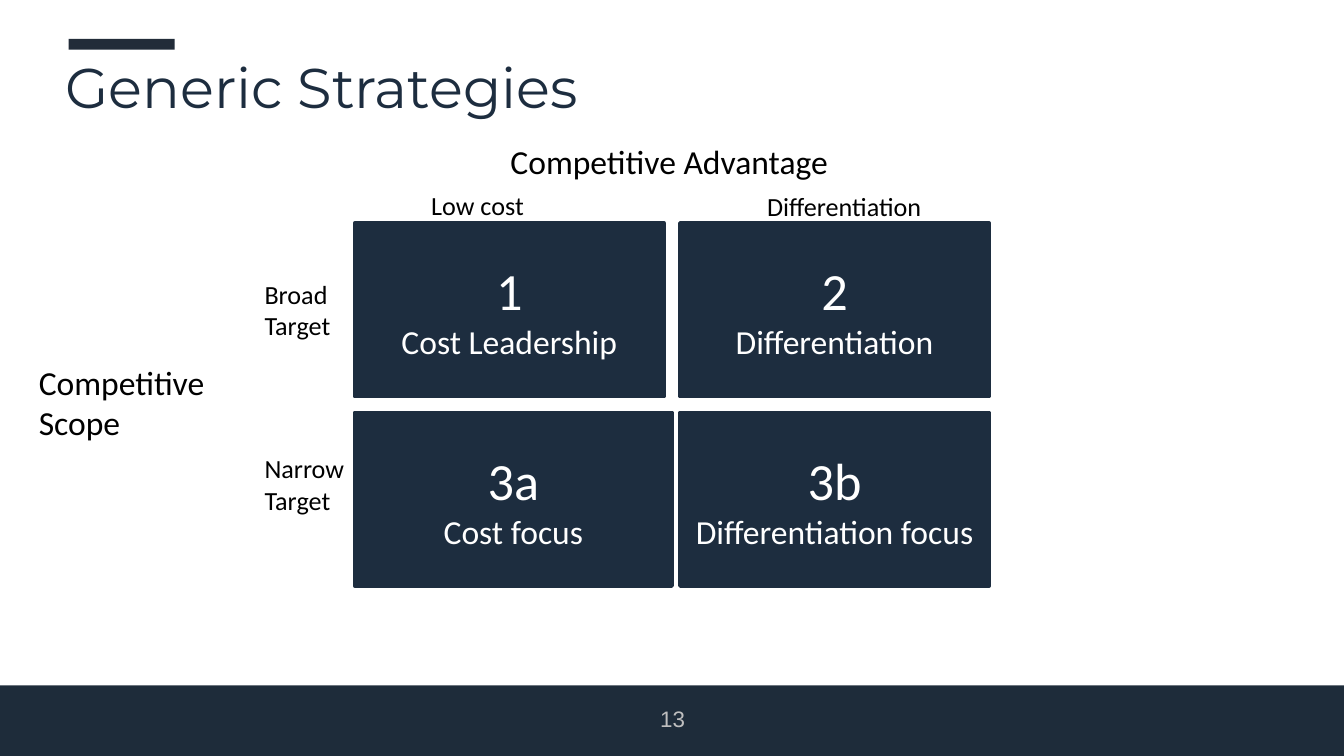
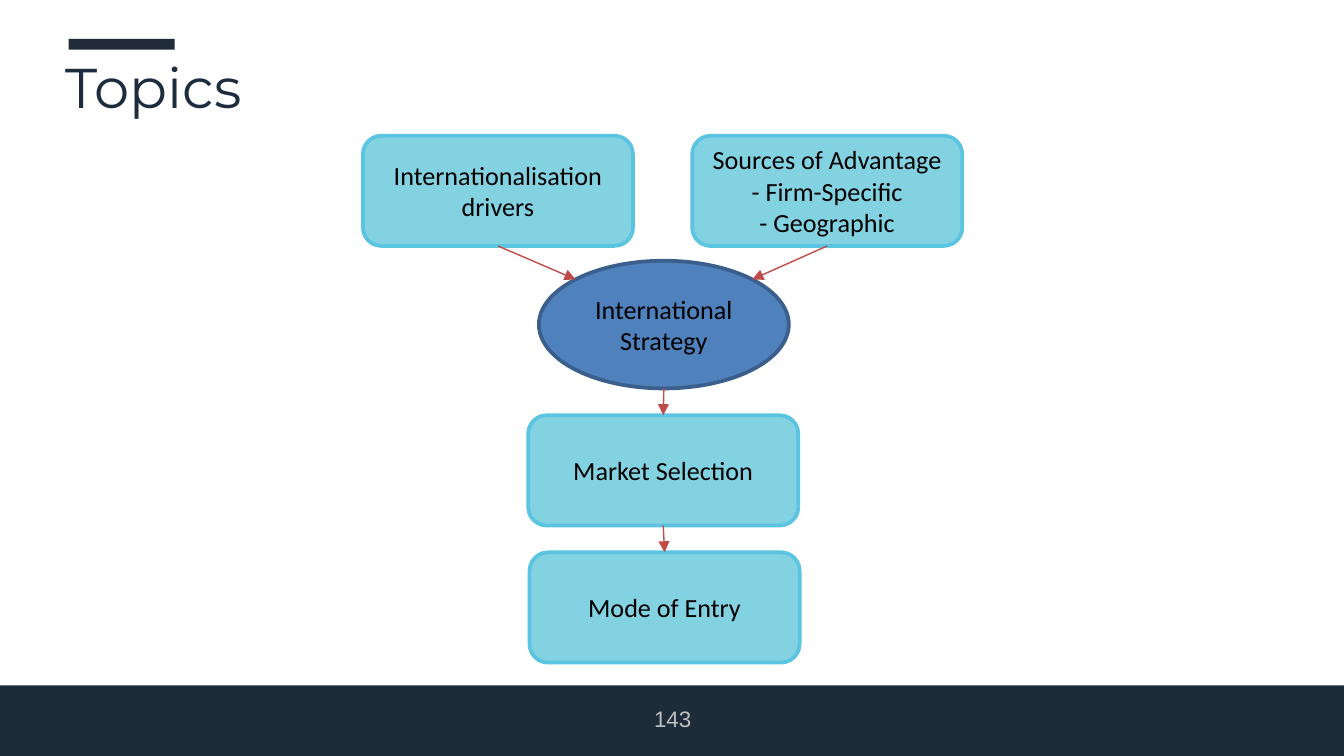
from dataclasses import dataclass
from math import sqrt

from lxml.etree import SubElement
from pptx import Presentation
from pptx.dml.color import RGBColor
from pptx.enum.shapes import MSO_CONNECTOR, MSO_SHAPE as SHAPE
from pptx.enum.text import MSO_ANCHOR as ANCHOR, PP_ALIGN as ALIGN
from pptx.oxml.ns import qn
from pptx.util import Inches, Pt


@dataclass(frozen=True)
class Theme:
    footer: str = "122130"
    accent: str = "17212F"
    navy: str = "1D2D3F"
    white: str = "FFFFFF"
    black: str = "000000"
    grey: str = "BFBFBF"
    aqua: str = "83D2E2"
    aqua_edge: str = "5AC4E1"
    blue: str = "4F81BD"
    blue_edge: str = "3A5F8C"
    arrow: str = "BF4C48"
    title_font: str = "Montserrat"
    body_font: str = "Calibri"
    number_font: str = "Arial"
    title: int = 30
    big: int = 28
    medium: int = 18
    small: int = 14
    number: int = 12


T = Theme()
SLIDE_W = 10
SLIDE_H = SLIDE_W * 9 / 16

# Strategy matrix: number, name, column, row, width
COLUMNS, ROWS = (2.64, 5.06), (1.66, 3.07)
CELL_W, CELL_H = 2.3, 1.29
STRATEGIES = [
    ("3a", "Cost focus", 0, 1, 2.36),
    ("3b", "Differentiation focus", 1, 1, CELL_W),
    ("1", "Cost Leadership", 0, 0, CELL_W),
    ("2", "Differentiation", 1, 0, CELL_W),
]
AXIS_LABELS = [
    ("Competitive Advantage", (3.7, 1, 2.6, 0.4), T.medium),
    ("Low cost", (3.11, 1.36, 0.9, 0.34), T.small),
    ("Differentiation", (5.61, 1.37, 1.37, 0.34), T.small),
    ("Broad\nTarget", (1.87, 2.02, 0.7, 0.57), T.small),
    ("Narrow\nTarget", (1.87, 3.32, 0.8, 0.57), T.small),
    ("Competitive \nScope", (0.19, 2.64, 1.51, 0.71), T.medium),
]

# Topic flow: name -> text, left, top
TOPIC_W, TOPIC_H = 2.01, 0.82
TOPICS = {
    "sources": ("Sources of Advantage\n- Firm-Specific\n- Geographic", 5.15, 1.01),
    "drivers": ("Internationalisation\ndrivers", 2.7, 1.01),
    "market": ("Market Selection", 3.93, 3.09),
    "entry": ("Mode of Entry", 3.94, 4.11),
}
STRATEGY_TEXT, STRATEGY_BOX = "International\nStrategy", (4.01, 1.94, 1.86, 0.95)
DIAGONAL = 1 / sqrt(2)
# Each end: box name, then the site as a fraction of half the width and height
ARROWS = [
    (("drivers", 0, 1), ("strategy", -DIAGONAL, -DIAGONAL)),
    (("sources", 0, 1), ("strategy", DIAGONAL, -DIAGONAL)),
    (("strategy", 0, 1), ("market", 0, -1)),
    (("market", 0, 1), ("entry", 0, -1)),
]


def rgb(color):
    return RGBColor.from_string(color)


def inches(box):
    return [Inches(v) for v in box]


def write(sp, text, size=T.small, color=T.black, font=T.body_font,
          align=ALIGN.LEFT, anchor=ANCHOR.TOP, wrap=True):
    """Fill a shape with one paragraph; size may be a list, one per line."""
    lines = text.split("\n")
    sizes = size if isinstance(size, list) else [size] * len(lines)
    tf = sp.text_frame
    tf.word_wrap, tf.vertical_anchor = wrap, anchor
    p = tf.paragraphs[0]
    p.alignment = align
    for i, (line, points) in enumerate(zip(lines, sizes)):
        if i:
            p.add_line_break()
            SubElement(p._p[-1], qn("a:rPr"), sz=str(sizes[i - 1] * 100))
        r = p.add_run()
        r.text = line
        r.font.size, r.font.name = Pt(points), font
        r.font.color.rgb = rgb(color)


def add_text(s, text, box, **fmt):
    write(s.shapes.add_textbox(*inches(box)), text, **fmt)


def add_box(s, box, fill, edge=None, kind=SHAPE.RECTANGLE, opacity=None,
            text=None, **fmt):
    sp = s.shapes.add_shape(kind, *inches(box))
    sp.shadow.inherit = False
    sp.fill.solid()
    sp.fill.fore_color.rgb = rgb(fill)
    if opacity:
        color = sp.fill._xPr.find(".//" + qn("a:srgbClr"))
        SubElement(color, qn("a:alpha"), val=str(opacity * 1000))
    if edge:
        sp.line.color.rgb = rgb(edge)
        sp.line.width = Pt(2)
    else:
        sp.line.fill.background()
    if text:
        write(sp, text, align=ALIGN.CENTER, anchor=ANCHOR.MIDDLE, **fmt)


def add_arrow(s, start, end):
    c = s.shapes.add_connector(MSO_CONNECTOR.STRAIGHT, *inches(start + end))
    c.line.color.rgb = rgb(T.arrow)
    c.line.width = Pt(0.75)
    SubElement(c.line._get_or_add_ln(), qn("a:tailEnd"), type="triangle")
    SubElement(c._element.spPr, qn("a:effectLst"))


def add_slide(prs, title, number):
    s = prs.slides.add_slide(prs.slide_layouts[6])
    add_box(s, (0, 0, 10.01, 5.63), T.footer, opacity=95)
    add_box(s, (0, 0, 10.01, 5.1), T.white)
    add_box(s, (0.51, 0.29, 0.79, 0.08), T.accent, opacity=95)
    add_text(s, title, (0.39, 0.34, 9.26, 0.52), size=T.title, color=T.navy,
             font=T.title_font)
    add_text(s, number, (4.71, 5.2, 0.59, 0.3), size=T.number, color=T.grey,
             font=T.number_font, align=ALIGN.CENTER)
    return s


def build_strategies(prs):
    s = add_slide(prs, "Generic Strategies", "13")
    for number, name, col, row, width in STRATEGIES:
        add_box(s, (COLUMNS[col], ROWS[row], width, CELL_H), T.navy, T.navy,
                text=f"{number}\n{name}", size=[T.big, T.medium], color=T.white)
    for text, box, size in AXIS_LABELS:
        add_text(s, text, box, size=size, wrap=False)


def build_topics(prs):
    s = add_slide(prs, "Topics", "143")
    boxes = {"strategy": STRATEGY_BOX}
    for name, (text, left, top) in TOPICS.items():
        boxes[name] = (left, top, TOPIC_W, TOPIC_H)
        add_box(s, boxes[name], T.aqua, T.aqua_edge,
                kind=SHAPE.ROUNDED_RECTANGLE, text=text)
    add_box(s, STRATEGY_BOX, T.blue, T.blue_edge, kind=SHAPE.OVAL,
            text=STRATEGY_TEXT)

    def site(name, across, down):
        left, top, w, h = boxes[name]
        return left + w / 2 * (1 + across), top + h / 2 * (1 + down)

    for start, end in ARROWS:
        add_arrow(s, site(*start), site(*end))


def main():
    prs = Presentation()
    prs.slide_width, prs.slide_height = Inches(SLIDE_W), Inches(SLIDE_H)
    build_strategies(prs)
    build_topics(prs)
    prs.save("out.pptx")


if __name__ == "__main__":
    main()
